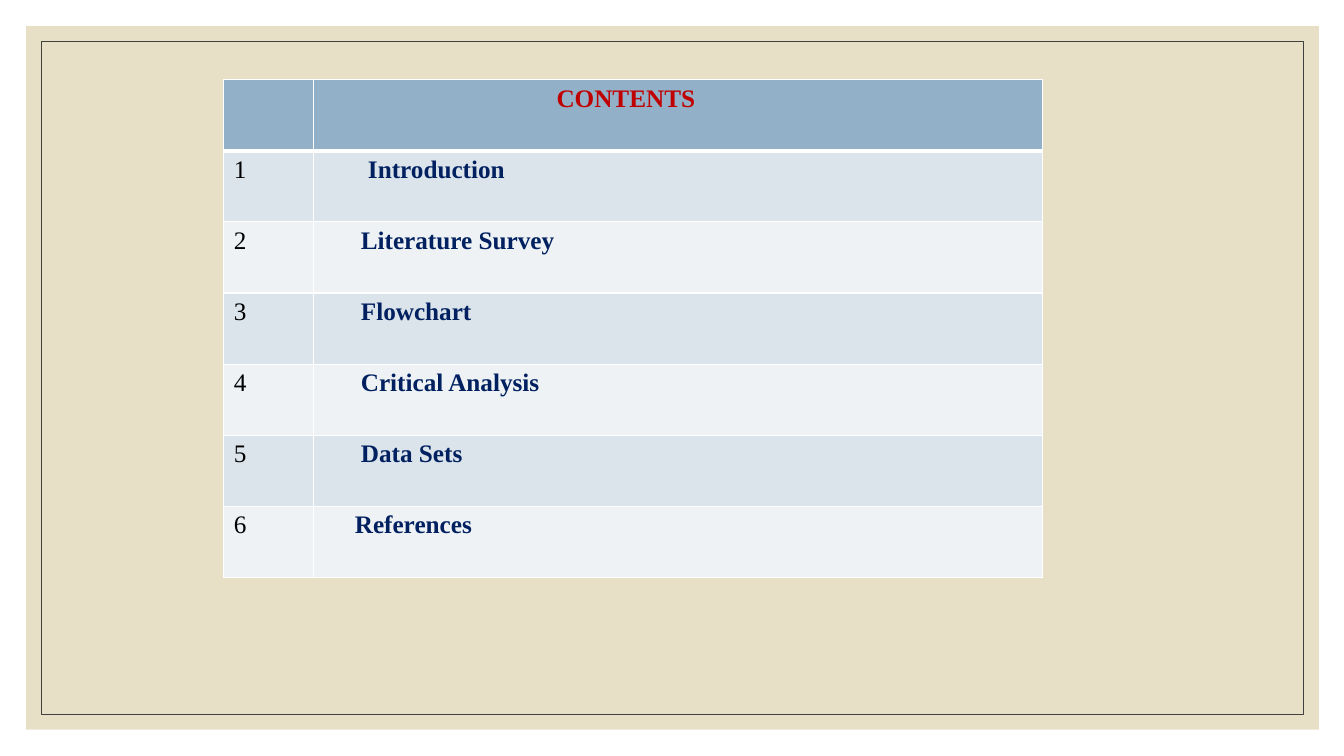
import pptx
import pptx.util
import pptx.dml.color
import pptx.enum.shapes
import pptx.oxml.ns
from dataclasses import dataclass
from lxml import etree

Inches = pptx.util.Inches
Pt = pptx.util.Pt


@dataclass(frozen=True)
class Theme:
    font: str = "Times New Roman"
    text_size: float = 18
    panel: str = "E7E0C7"
    frame: str = "404040"
    header_fill: str = "92B0C8"
    row_fills: tuple = ("DCE4EB", "EEF2F5")
    border: str = "FFFFFF"
    heading: str = "C00000"
    number: str = "000000"
    topic: str = "002060"
    frame_width: float = 0.5
    border_width: float = 1
    header_rule_width: float = 3


THEME = Theme()

# Each topic with its left indent in inches
TOPICS = [
    ("Introduction", 0.54),
    ("Literature Survey", 0.47),
    ("Flowchart", 0.47),
    ("Critical Analysis", 0.47),
    ("Data Sets", 0.47),
    ("References", 0.41),
]
HEADING_INDENT = 2.41
NUMBER_INDENT = 0.1


def rgb(value):
    return pptx.dml.color.RGBColor.from_string(value)


def add_rectangle(slide, left, top, width, height):
    shape = slide.shapes.add_shape(
        pptx.enum.shapes.MSO_SHAPE.RECTANGLE,
        Inches(left), Inches(top), Inches(width), Inches(height))
    shape.shadow.inherit = False
    return shape


def add_backdrop(slide, left, top, width, height):
    """Sand panel with a thin frame inset evenly from its edge."""
    panel = add_rectangle(slide, left, top, width, height)
    panel.fill.solid()
    panel.fill.fore_color.rgb = rgb(THEME.panel)
    panel.line.fill.background()

    inset = 0.15
    frame = add_rectangle(slide, left + inset, top + inset,
                          width - 2 * inset, height - 2 * inset)
    frame.fill.background()
    frame.line.color.rgb = rgb(THEME.frame)
    frame.line.width = Pt(THEME.frame_width)


def set_borders(cell, top_width, bottom_width):
    properties = cell._tc.get_or_add_tcPr()
    widths = {"L": THEME.border_width, "R": THEME.border_width,
              "T": top_width, "B": bottom_width}
    for side, width in widths.items():
        line = etree.SubElement(properties, pptx.oxml.ns.qn(f"a:ln{side}"),
                                w=str(Pt(width)))
        fill = etree.SubElement(line, pptx.oxml.ns.qn("a:solidFill"))
        etree.SubElement(fill, pptx.oxml.ns.qn("a:srgbClr"), val=THEME.border)


def write_cell(cell, text, color, bold, indent):
    cell.margin_left = Inches(indent)
    cell.text_frame.text = text
    paragraph = cell.text_frame.paragraphs[0]
    for run in paragraph.runs:
        run.font.name = THEME.font
        run.font.size = Pt(THEME.text_size)
        run.font.bold = bold
        run.font.color.rgb = rgb(color)


def add_contents_table(slide, left, top, width, height):
    """Heading row followed by one numbered row per topic."""
    row_count = len(TOPICS) + 1
    table = slide.shapes.add_table(
        row_count, 2, Inches(left), Inches(top),
        Inches(width), Inches(height)).table
    number_width = 0.89
    table.columns[0].width = Inches(number_width)
    table.columns[1].width = Inches(width - number_width)

    # Borders and banded fills
    for index, row in enumerate(table.rows):
        row.height = Inches(height / row_count)
        fill = THEME.row_fills[(index - 1) % 2] if index else THEME.header_fill
        top_width = THEME.header_rule_width if index == 1 else THEME.border_width
        bottom_width = THEME.header_rule_width if index == 0 else THEME.border_width
        for cell in row.cells:
            set_borders(cell, top_width, bottom_width)
            cell.fill.solid()
            cell.fill.fore_color.rgb = rgb(fill)

    # Heading and topics
    write_cell(table.cell(0, 1), "CONTENTS", THEME.heading, True, HEADING_INDENT)
    for number, (topic, indent) in enumerate(TOPICS, start=1):
        write_cell(table.cell(number, 0), str(number), THEME.number, False,
                   NUMBER_INDENT)
        write_cell(table.cell(number, 1), topic, THEME.topic, True, indent)


def build_contents_slide(presentation):
    slide = presentation.slides.add_slide(presentation.slide_layouts[6])
    add_backdrop(slide, 0.26, 0.26, 12.82, 6.98)
    add_contents_table(slide, 2.22, 0.79, 8.12, 4.94)


presentation = pptx.Presentation()
presentation.slide_width = Inches(13.33)
presentation.slide_height = Inches(7.5)
build_contents_slide(presentation)
presentation.save("out.pptx")
